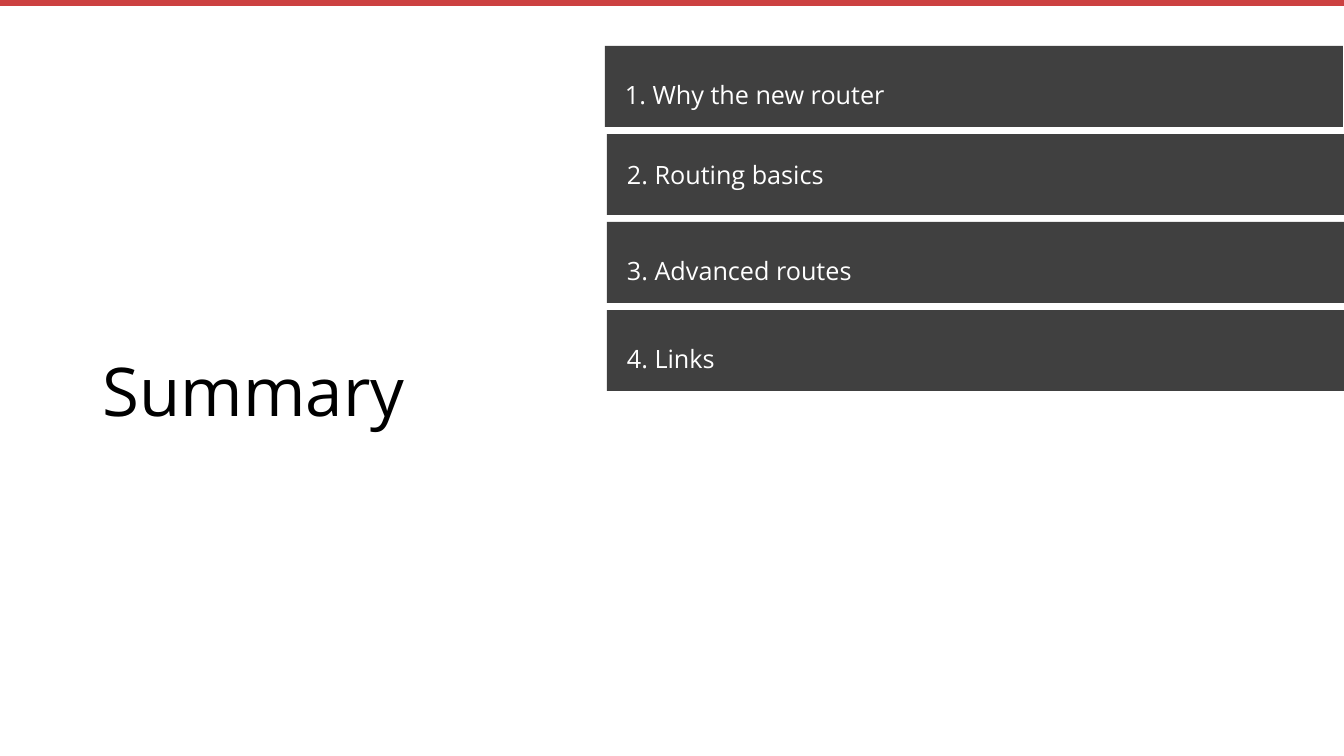
"""Builds the Summary slide: a title beside a stack of agenda bars."""
from lxml import etree
from pptx import Presentation
from pptx import util as u
from pptx.dml.color import RGBColor
from pptx.enum import shapes, text
from pptx.oxml.ns import qn

EMU_PER_PX = u.Inches(1) / 100.8
FONT = "Open Sans"
COLORS = {"accent": "CC4141", "bar": "000000", "title": "000000", "label": "FFFFFF"}
BAR_TOP, BAR_PITCH, BAR_WIDTH, BAR_HEIGHT = 46, 88, 738, 81
AGENDA = [
    ("1. Why the new router", 605, 1.5),
    ("2. Routing basics", 607, 1.0),
    ("3. Advanced routes", 607, 1.5),
    ("4. Links", 607, 1.5),
]


def px(length):
    """Turn pixels into EMU."""
    return u.Emu(round(length * EMU_PER_PX))


def color(name):
    """Look up a named colour."""
    return RGBColor.from_string(COLORS[name])


def add_rect(page, left, top, width, height, fill, opacity=100):
    """Add a borderless rectangle, optionally translucent."""
    rect = page.shapes.add_shape(
        shapes.MSO_SHAPE.RECTANGLE, px(left), px(top), px(width), px(height))
    rect.shadow.inherit = False
    rect.line.fill.background()
    rect.fill.solid()
    rect.fill.fore_color.rgb = color(fill)
    if opacity < 100:
        tint = rect._element.spPr.find(qn("a:solidFill"))[0]
        etree.SubElement(tint, qn("a:alpha"), val=str(opacity * 1000))
    return rect


def write(box, words, size, ink, spacing=1.0):
    """Write one left-aligned, vertically centred paragraph in a shape."""
    frame = box.text_frame
    frame.word_wrap = True
    frame.vertical_anchor = text.MSO_ANCHOR.MIDDLE
    frame.margin_left = frame.margin_right = px(20)
    frame.margin_top = frame.margin_bottom = px(5)
    para = frame.paragraphs[0]
    para.text = words
    para.alignment = text.PP_ALIGN.LEFT
    para.line_spacing = spacing
    para.font.name = FONT
    para.font.size = u.Pt(size)
    para.font.color.rgb = color(ink)


def main():
    """Build and save the slide."""
    deck = Presentation()
    deck.slide_width, deck.slide_height = px(1344), px(756)
    page = deck.slides.add_slide(deck.slide_layouts[6])
    add_rect(page, 0, 0, 1344, 6, "accent")
    title = page.shapes.add_textbox(px(83), px(76), px(479), px(627))
    write(title, "Summary", 48, "title")
    for row, (label, left, spacing) in enumerate(AGENDA):
        top = BAR_TOP + row * BAR_PITCH
        bar = add_rect(page, left, top, BAR_WIDTH, BAR_HEIGHT, "bar", opacity=75)
        write(bar, label, 18, "label", spacing)
    deck.save("out.pptx")


if __name__ == "__main__":
    main()
